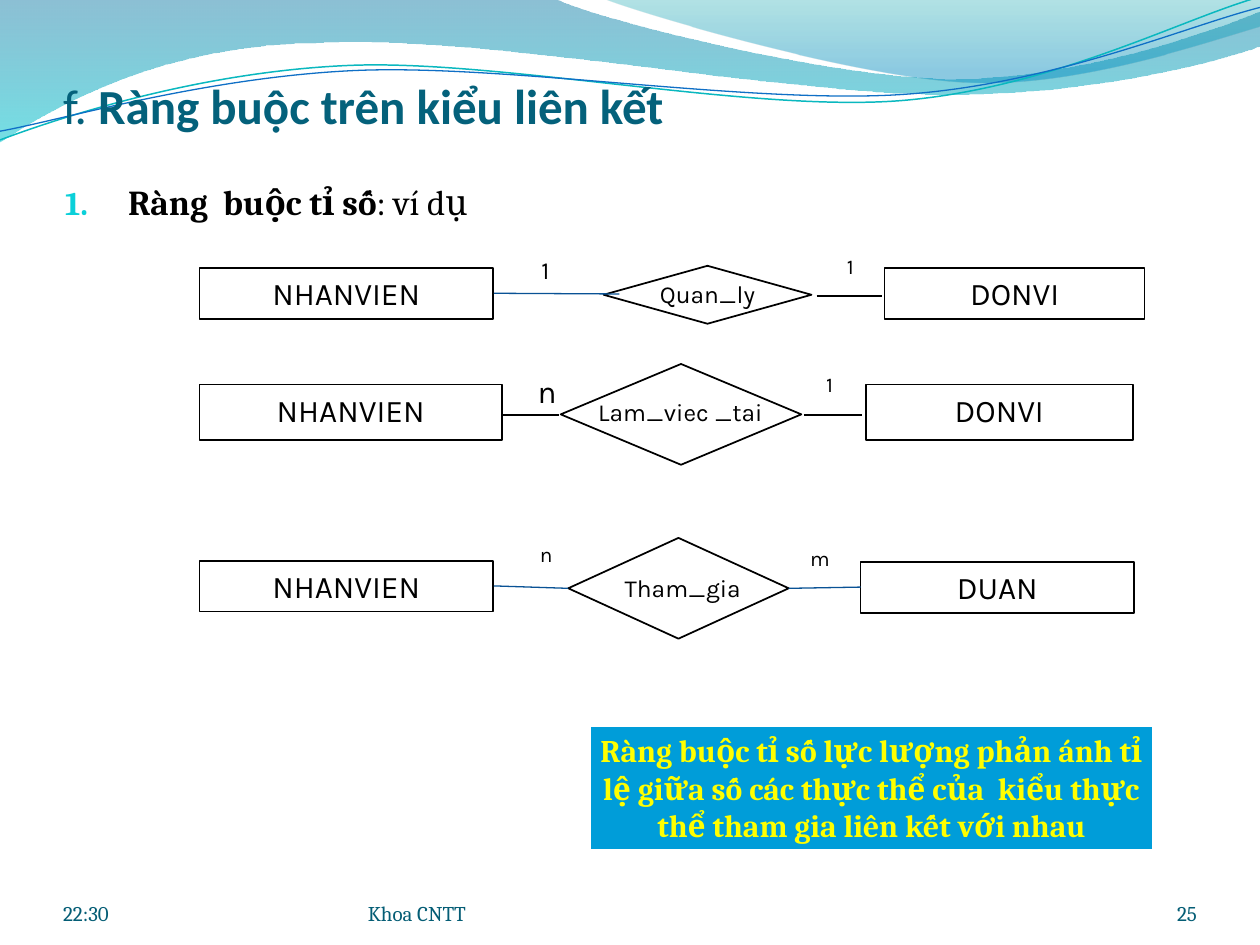
"""Build the slide on ratio constraints of relationship types."""
from dataclasses import dataclass
from math import cos, radians, sin

from lxml.etree import SubElement
from pptx import Presentation
from pptx.dml.color import RGBColor
from pptx.enum.shapes import MSO_CONNECTOR as Link, MSO_SHAPE as Kind
from pptx.enum.text import MSO_ANCHOR as Anchor, PP_ALIGN as Align
from pptx.oxml.ns import qn
from pptx.util import Pt

BLACK = RGBColor(0x00, 0x00, 0x00)
WHITE = RGBColor(0xFF, 0xFF, 0xFF)
YELLOW = RGBColor(0xFF, 0xFF, 0x00)
SKY = RGBColor(0x00, 0x9D, 0xD9)
NAVY = RGBColor(0x09, 0x52, 0x95)
TEAL = RGBColor(0x04, 0x61, 0x7B)
SLATE = RGBColor(0x04, 0x5D, 0x75)
CYAN = RGBColor(0x0B, 0xD0, 0xD9)
AQUA = RGBColor(0x0A, 0xB8, 0xBF)
BLUE = RGBColor(0x0F, 0x6F, 0xC6)
DEEP = RGBColor(0x00, 0x74, 0xA1)
MINT = RGBColor(0x00, 0xC6, 0xCF)
JADE = RGBColor(0x00, 0xA1, 0xA9)
AZURE = RGBColor(0x00, 0x8B, 0xBF)

Area = tuple[float, float, float, float]
Spot = tuple[float, float]


@dataclass
class Run:
    text: str
    size: float
    font: str = "Karla"
    color: RGBColor = BLACK
    bold: bool = False


@dataclass
class Stop:
    place: float
    color: RGBColor
    alpha: int


@dataclass
class Wave:
    start: Spot
    steps: list[tuple[float, ...]]
    stops: tuple[Stop, ...] = ()
    color: RGBColor = BLUE
    width: float = 0.75
    turn: float = 0


@dataclass
class Mark:
    text: str
    size: float
    area: Area


@dataclass
class Wire:
    ends: Area
    color: RGBColor = BLACK
    width: float = 1


@dataclass
class Row:
    left: Mark
    right: Mark
    gem: Area
    label: Mark
    wires: tuple[Wire, Wire]
    marks: tuple[Mark, Mark]


WAVES = [
    Wave((0, -0.7), [(317, -0.7), (343, 12, 478, 45, 546, 45),
                     (614, 45, 690, 19, 720, 6.5), (720.7, 26),
                     (708, 32, 626, 55, 537, 54), (448, 54, 275, 20, 185, 24.5),
                     (93, 25, 33, 60, -0.7, 81.4)],
         (Stop(0, DEEP, 45), Stop(1, MINT, 55))),
    Wave((345, -0.7), [(366, 8, 491, 44.6, 554, 46.8),
                       (616, 49.7, 692, 23, 720, 15), (720, 0)],
         (Stop(0, JADE, 30), Stop(0.8, AZURE, 45))),
    Wave((0, 80), [(34.6, 67, 113.8, 41, 199.4, 37.4),
                   (284.4, 33.8, 427, 64, 513.4, 57.6),
                   (599.8, 51, 675.4, 10.8, 718.6, -1.4)],
         color=AQUA, width=0.85, turn=-2.7),
    Wave((0, 75), [(33.8, 69, 118, 44, 203.8, 40.3),
                   (290, 36.7, 430, 59.8, 516.2, 54),
                   (602, 48.2, 677.5, 15, 720, 4.3)], turn=-2.7),
]
ROWS = [
    Row(Mark("NHANVIEN", 18, (114, 153, 167.8, 29.1)),
        Mark("DONVI", 18, (505.5, 153, 148.5, 29.1)),
        (344.9, 151.9, 118.8, 33.1), Mark("Quan_ly", 14, (347.8, 156.2, 113, 24.5)),
        (Wire((282.2, 167.6, 354, 168), NAVY, 0.75), Wire((466.6, 169, 504, 169))),
        (Mark("1", 14, (293, 142, 37.4, 23.8)), Mark("1", 12, (474, 141.3, 23.8, 21.6)))),
    Row(Mark("NHANVIEN", 18, (114, 219.8, 172.8, 31.7)),
        Mark("DONVI", 18, (494.7, 219.8, 152.6, 31.7)),
        (320.4, 208, 137.5, 57.6), Mark("Lam_viec _tai", 14, (333.4, 223.2, 110.9, 24.5)),
        (Wire((286.6, 237, 319.7, 237)), Wire((459.4, 237, 492.5, 237))),
        (Mark("n", 18, (300.2, 208.8, 18, 28.8)), Mark("1", 12, (462.2, 208.8, 23.8, 21.6)))),
    Row(Mark("NHANVIEN", 18, (114, 320.4, 167.8, 29.1)),
        Mark("DUAN", 18, (491.8, 321.1, 156.2, 29.1)),
        (324.7, 307.4, 126, 57.6), Mark("Tham_gia", 14, (336.2, 324, 108, 24.5)),
        (Wire((282.2, 334.8, 324.7, 336.2), NAVY, 0.75),
         Wire((450.7, 336.2, 491.8, 335.5), NAVY, 0.75)),
        (Mark("n", 12, (300.2, 306, 23.8, 21.6)), Mark("m", 12, (455.8, 308.2, 23.8, 21.6)))),
]
FOOT = [("22:30", (36, 500.4, 168, 28.8), Align.LEFT),
        ("Khoa CNTT", (210.2, 500.4, 264.2, 28.8), Align.LEFT),
        ("25", (624.2, 500.4, 59.8, 28.8), Align.RIGHT)]


def points(area) -> list[Pt]:
    """Turn plain numbers into lengths."""
    return [Pt(n) for n in area]


def write(shape, runs: list[Run], align=Align.CENTER, anchor=Anchor.TOP, inset=None):
    """Fill a shape with one paragraph of runs."""
    frame = shape.text_frame
    frame.word_wrap = True
    frame.vertical_anchor = anchor
    if inset:
        (frame.margin_left, frame.margin_top,
         frame.margin_right, frame.margin_bottom) = points(inset)
    para = frame.paragraphs[0]
    para.alignment = align
    para.space_before = Pt(0)
    for run in runs:
        part = para.add_run()
        part.text = run.text
        font = part.font
        font.size, font.name, font.bold = Pt(run.size), run.font, run.bold
        font.color.rgb = run.color
    return para


def place(shape, area: Area) -> None:
    """Move and size a shape."""
    shape.left, shape.top, shape.width, shape.height = points(area)


def spin(spot: Spot, angle: float) -> Spot:
    """Turn a spot clockwise about the middle of the waves."""
    x, y, a = spot[0] - 360, spot[1] - 41, radians(angle)
    return 360 + x * cos(a) - y * sin(a), 41 + x * sin(a) + y * cos(a)


def bend(shape, steps: list[tuple[float, ...]]) -> None:
    """Join each three spots of a curved step into one cubic curve."""
    legs = iter(list(shape.element.iter(qn("a:lnTo"))))
    for step in steps:
        group = [next(legs) for _ in range(len(step) // 2)]
        if len(group) == 3:
            arc = SubElement(group[0].getparent(), qn("a:cubicBezTo"))
            group[0].addprevious(arc)
            for leg in group:
                arc.append(leg[0])
                leg.getparent().remove(leg)


def draw_wave(shapes, wave: Wave) -> None:
    """Draw a filled wave or a thin curved line."""
    spots = [wave.start] + [step[i:i + 2] for step in wave.steps
                            for i in range(0, len(step), 2)]
    first, *rest = [points(spin(spot, -wave.turn)) for spot in spots]
    pen = shapes.build_freeform(*first, scale=1.0)
    pen.add_line_segments(rest, close=bool(wave.stops))
    shape = pen.convert_to_shape()
    shape.shadow.inherit = False
    bend(shape, wave.steps)
    if not wave.stops:
        wide, high = shape.width.pt, shape.height.pt
        x, y = spin((shape.left.pt + wide / 2, shape.top.pt + high / 2), wave.turn)
        place(shape, (x - wide / 2, y - high / 2, wide, high))
        shape.rotation = wave.turn
        shape.fill.background()
        shape.line.color.rgb, shape.line.width = wave.color, Pt(wave.width)
        return
    shape.line.fill.background()
    shape.fill.gradient()
    shape.fill.gradient_angle = 270
    for stop, tone in zip(shape.fill.gradient_stops, wave.stops):
        stop.position, stop.color.rgb = tone.place, tone.color
    for node, tone in zip(shape.element.spPr.iter(qn("a:srgbClr")), wave.stops):
        SubElement(node, qn("a:alpha"), val=str(tone.alpha * 1000))


def draw_box(shapes, area: Area, kind=Kind.RECTANGLE, fill=None, line=BLACK, width=1):
    """Draw an outlined preset shape."""
    shape = shapes.add_shape(kind, *points(area))
    shape.shadow.inherit = False
    if fill is None:
        shape.fill.background()
    else:
        shape.fill.solid()
        shape.fill.fore_color.rgb = fill
    shape.line.color.rgb, shape.line.width = line, Pt(width)
    return shape


def draw_wire(shapes, wire: Wire) -> None:
    """Draw a straight link."""
    link = shapes.add_connector(Link.STRAIGHT, *points(wire.ends))
    link.line.color.rgb, link.line.width = wire.color, Pt(wire.width)
    SubElement(link.element.spPr, qn("a:effectLst"))


def draw_row(shapes, row: Row) -> None:
    """Draw two entities and the relationship between them."""
    for mark in (row.left, row.right):
        write(draw_box(shapes, mark.area), [Run(mark.text, mark.size)])
    draw_box(shapes, row.gem, Kind.FLOWCHART_DECISION)
    for wire in row.wires:
        draw_wire(shapes, wire)
    for mark in (row.label, *row.marks):
        write(shapes.add_textbox(*points(mark.area)), [Run(mark.text, mark.size)])


def number(para) -> None:
    """Give a paragraph a coloured number."""
    props = para._p.get_or_add_pPr()
    props.set("marL", str(Pt(36)))
    props.set("indent", str(Pt(-36)))
    tint = SubElement(props, qn("a:buClr"))
    SubElement(tint, qn("a:srgbClr"), val=str(CYAN))
    SubElement(props, qn("a:buSzPct"), val="95000")
    SubElement(props, qn("a:buAutoNum"), type="arabicPeriod")


def main() -> None:
    """Compose and save the slide."""
    deck = Presentation()
    deck.slide_width, deck.slide_height = Pt(720), Pt(540)
    slide = deck.slides.add_slide(deck.slide_layouts[1])
    shapes = slide.shapes
    title, body = shapes.title, slide.placeholders[1]
    for wave in WAVES:
        draw_wave(shapes, wave)
    tree = title.element.getparent()
    for holder in (title, body):
        tree.append(holder.element)
    place(title, (36, 28, 648, 49))
    write(title, [Run("f. ", 28, "Calibri", TEAL),
                  Run("Ràng buộc trên kiểu liên kết", 28, "Calibri", TEAL, True)],
          Align.LEFT, Anchor.BOTTOM, (0, 3.6, 0, 0))
    place(body, (30, 102, 648, 402))
    number(body.text_frame.paragraphs[0])
    para = write(body, [Run("Ràng  buộc tỉ số", 20, "Cambria", bold=True),
                        Run(": ví dụ", 20, "Cambria")], Align.LEFT)
    para.line_spacing = 0.9
    for row in ROWS:
        draw_row(shapes, row)
    note = draw_box(shapes, (336, 414, 324, 72.7), fill=SKY, line=WHITE, width=3)
    write(note, [Run("Ràng buộc tỉ số lực lượng phản ánh tỉ lệ giữa số các thực thể của  "
                     "kiểu thực thể tham gia liên kết với nhau", 18, "Cambria", YELLOW, True)])
    for text, area, align in FOOT:
        write(shapes.add_textbox(*points(area)), [Run(text, 12, "Cambria", SLATE)],
              align, Anchor.BOTTOM, (0, 0, 0, 0))
    deck.save("out.pptx")


if __name__ == "__main__":
    main()
